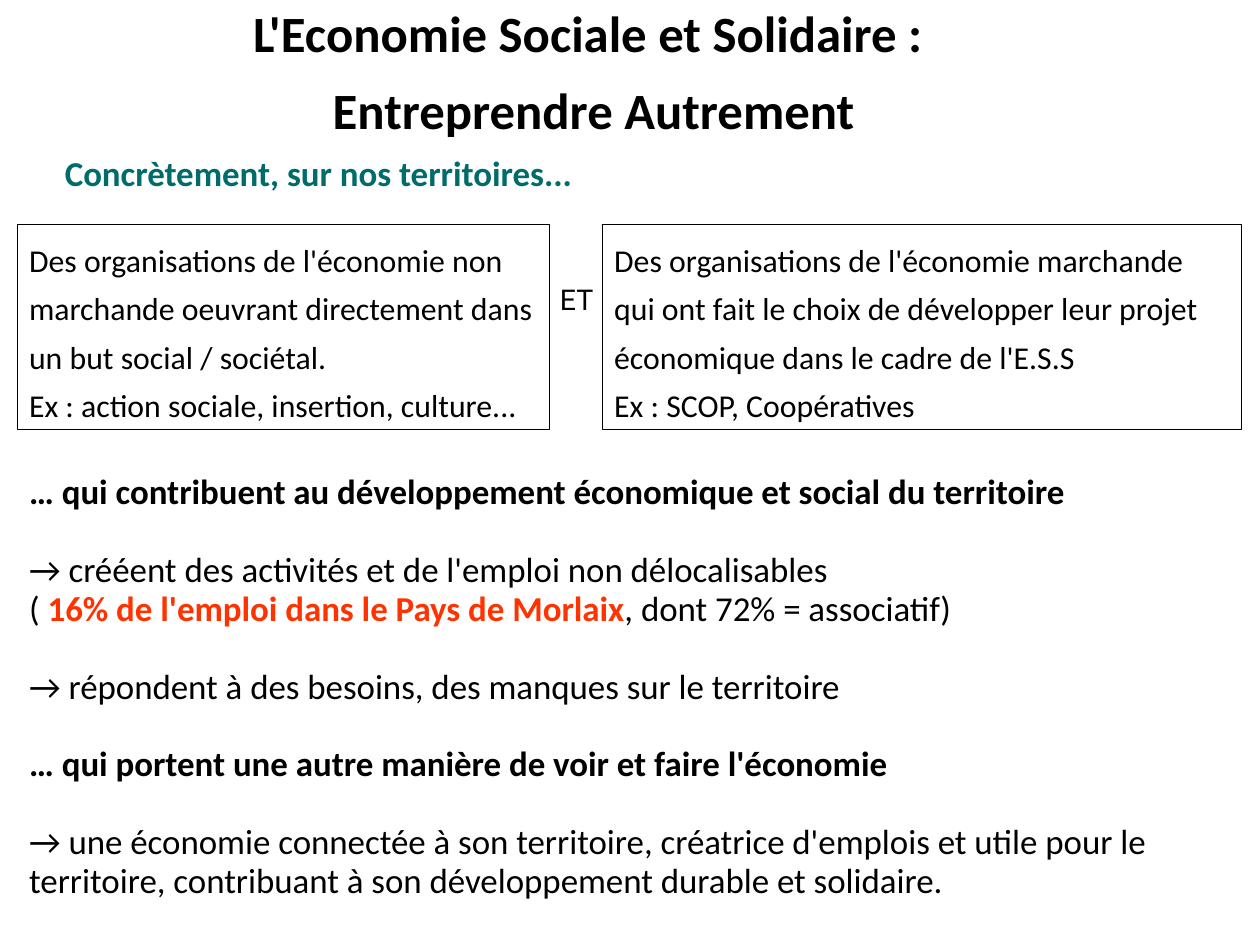
from lxml import etree
from pptx import Presentation
from pptx.dml.color import RGBColor
from pptx.enum import shapes, text
from pptx.oxml.ns import qn
from pptx.util import Pt

COLORS = {"ink": "000000", "teal": "006B6B", "red": "FF3300"}
WIDE, TIGHT = 1.27, 0.93
GAP = 24.5  # one body line


def color(name):
    return RGBColor.from_string(COLORS[name])


def place(shape, box):
    shape.left, shape.top, shape.width, shape.height = map(Pt, box)


def frame(shape, anchor=text.MSO_ANCHOR.TOP, pad=(7.2, 3.6)):
    tf = shape.text_frame
    tf.word_wrap = True
    tf.auto_size = text.MSO_AUTO_SIZE.NONE
    tf.vertical_anchor = anchor
    tf.margin_left = tf.margin_right = Pt(pad[0])
    tf.margin_top = tf.margin_bottom = Pt(pad[1])
    return tf


def style(par, size, spacing, ink="ink", bold=False, font="Calibri",
          align=text.PP_ALIGN.LEFT, before=0):
    par.alignment = align
    par.line_spacing = spacing
    par.space_before = Pt(before)
    par.font.name = font
    par.font.size = Pt(size)
    par.font.bold = bold
    par.font.color.rgb = color(ink)


def next_par(tf, i):
    return tf.add_paragraph() if i else tf.paragraphs[0]


def add_title(slide, box, lines):
    title = slide.shapes.title
    place(title, box)
    par = frame(title, text.MSO_ANCHOR.MIDDLE, (0, 0)).paragraphs[0]
    for i, line in enumerate(lines):
        if i:
            par.add_line_break()
        par.add_run().text = line
    style(par, 32, WIDE, bold=True, align=text.PP_ALIGN.CENTER)


def add_label(slide, box, words, size, spacing, **looks):
    par = frame(slide.shapes.add_textbox(*map(Pt, box))).paragraphs[0]
    par.text = words
    style(par, size, spacing, **looks)


def add_panel(slide, box, lines):
    panel = slide.shapes.add_shape(shapes.MSO_SHAPE.RECTANGLE, *map(Pt, box))
    panel.shadow.inherit = False
    panel.fill.background()
    panel.line.color.rgb = color("ink")
    panel.line.width = Pt(0)
    tf = frame(panel)
    for i, line in enumerate(lines):
        par = next_par(tf, i)
        par.text = line
        style(par, 20, WIDE)


def add_body(slide, box, items):
    body = slide.placeholders[1]
    place(body, box)
    tf = frame(body)
    for i, (runs, bold, before, align) in enumerate(items):
        par = next_par(tf, i)
        # No bullet, no hanging indent
        props = par._p.get_or_add_pPr()
        props.set("marL", "0")
        props.set("indent", "0")
        etree.SubElement(props, qn("a:buNone"))
        style(par, 22, TIGHT, bold=bold, align=align, before=before)
        for words, ink in runs:
            run = par.add_run()
            run.text = words
            if ink != "ink":
                run.font.bold = True
                run.font.color.rgb = color(ink)


def main():
    deck = Presentation()
    deck.slide_width, deck.slide_height = Pt(793.75), Pt(595.25)
    slide = deck.slides.add_slide(deck.slide_layouts[1])

    # Heading
    add_title(slide, (17, -9.2, 714.2, 97.2),
              ["L'Economie Sociale et Solidaire : ", "Entreprendre Autrement"])
    add_label(slide, (33.8, 85, 629.3, 40.3),
              "Concrètement, sur nos territoires...", 22, WIDE,
              ink="teal", bold=True)

    # Two kinds of organisation
    top, high = 141.5, 128.9
    add_panel(slide, (11.2, top, 334.8, high), [
        "Des organisations de l'économie non marchande oeuvrant directement "
        "dans un but social / sociétal.",
        "Ex : action sociale, insertion, culture..."])
    add_panel(slide, (379.8, top, 402.5, high), [
        "Des organisations de l'économie marchande qui ont fait le choix de "
        "développer leur projet économique dans le cadre de l'E.S.S",
        "Ex : SCOP, Coopératives"])
    add_label(slide, (345.6, 175.7, 39.6, 27.4), "ET", 18, TIGHT,
              font="Roboto")

    # What they bring: runs, bold, space before, alignment
    full, left = text.PP_ALIGN.JUSTIFY, text.PP_ALIGN.LEFT
    add_body(slide, (11.2, 294.5, 765.4, 300.7), [
        ([("… qui contribuent au développement économique et social du "
           "territoire", "ink")], True, 0, full),
        ([("→ crééent des activités et de l'emploi non délocalisables ",
           "ink")], False, GAP, full),
        ([("( ", "ink"), ("16% de l'emploi dans le Pays de Morlaix", "red"),
          (", dont 72% = associatif) ", "ink")], False, 0, full),
        ([("→ répondent à des besoins, des manques sur le territoire",
           "ink")], False, GAP, full),
        ([("… qui portent une autre manière de voir et faire l'économie ",
           "ink")], True, GAP, full),
        ([("→ une économie connectée à son territoire, créatrice d'emplois "
           "et utile pour le territoire, contribuant à son développement "
           "durable et solidaire.", "ink")], False, GAP, left)])

    deck.save("out.pptx")


if __name__ == "__main__":
    main()
